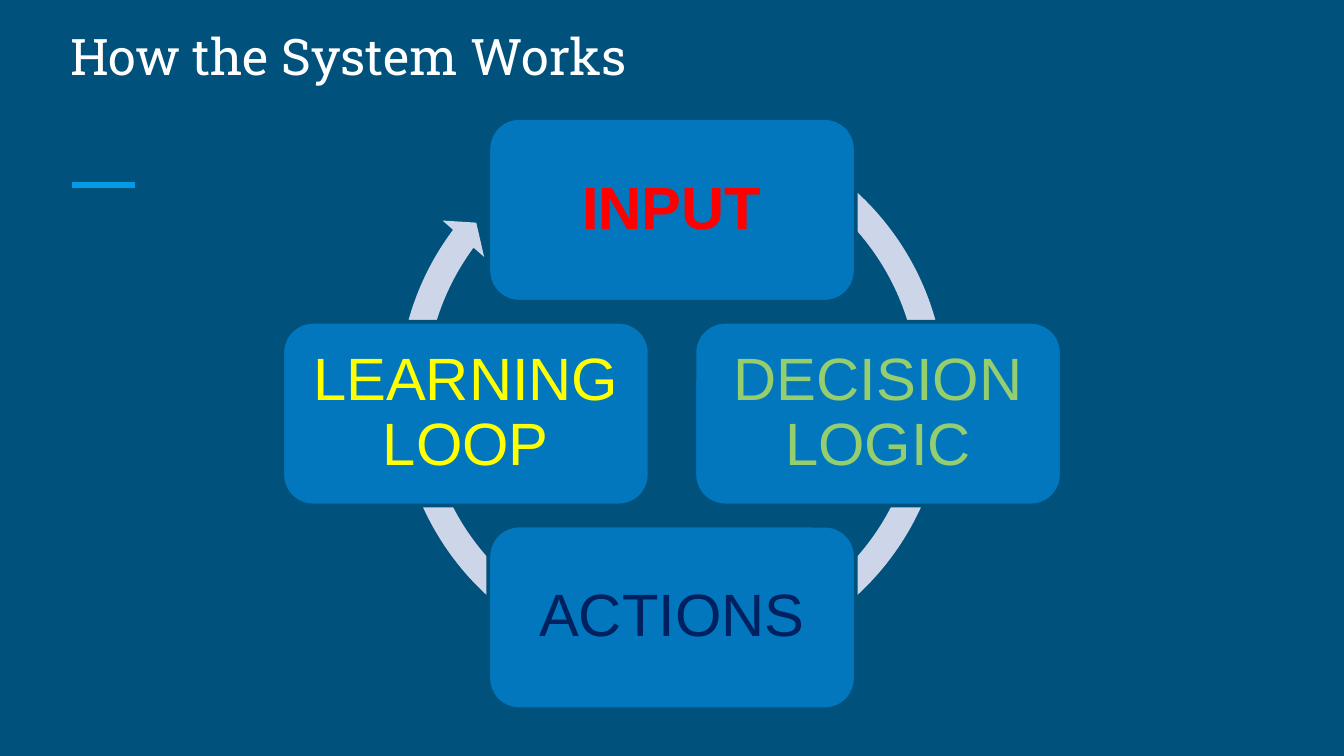
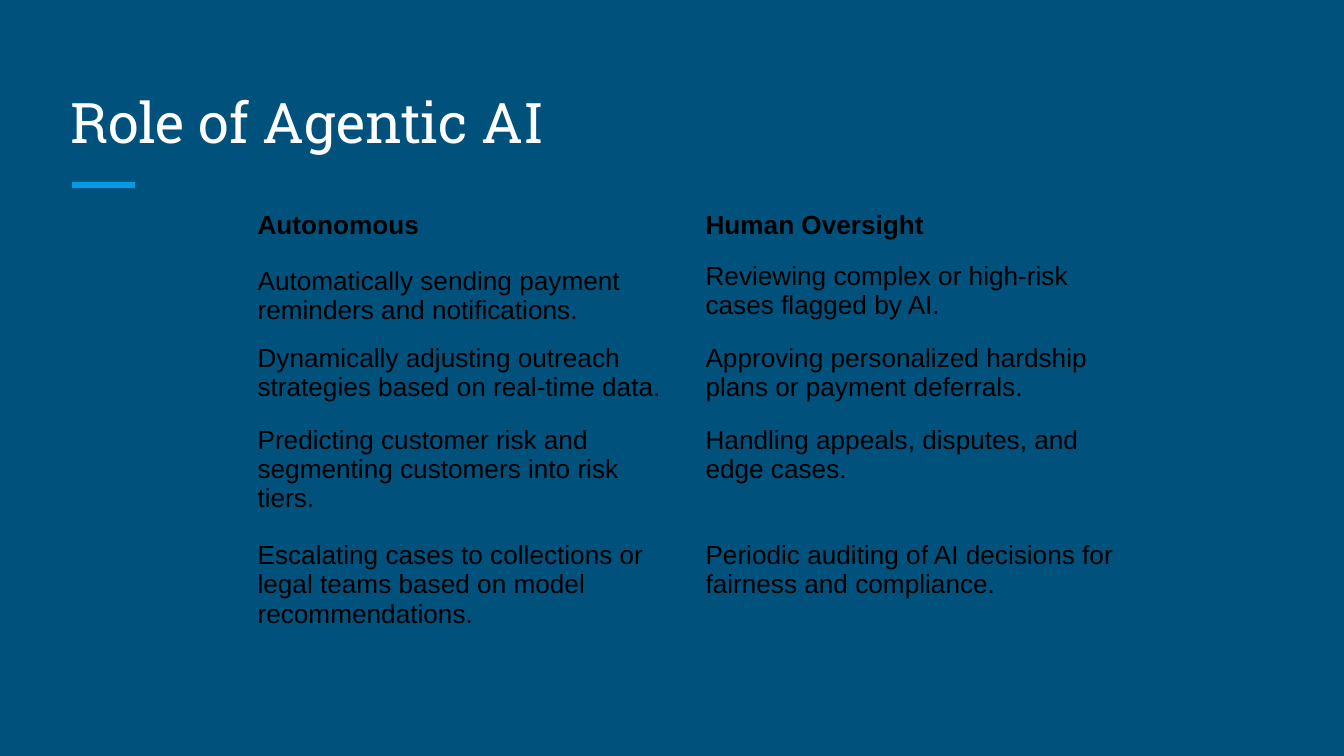
from collections import namedtuple

from lxml import etree
from pptx import Presentation
from pptx.dml.color import RGBColor
from pptx.enum import shapes, text
from pptx.oxml import ns
from pptx.util import Pt

COLORS = {
    "background": "00517C",
    "rule": "039BE5",
    "title": "FFFFFF",
    "box": "0277BD",
    "ring": "CCD6E8",
    "input": "FF0000",
    "decision": "95CE6E",
    "actions": "002060",
    "learning": "FFFF00",
    "table": "000000",
}
TITLE_FONT = "Roboto Slab"
BODY_FONT = "Arial"
NO_TABLE_STYLE = "{2D5ABB26-0587-4C30-8999-92F81FD0307C}"

Box = namedtuple("Box", "left top width height")

CYCLE_STEPS = [
    ("INPUT", "input", 0, -1, True),
    ("DECISION LOGIC", "decision", 1, 0, False),
    ("ACTIONS", "actions", 0, 1, False),
    ("LEARNING LOOP", "learning", -1, 0, False),
]
ROLES = [
    ("Autonomous", "Human Oversight"),
    ("Automatically sending payment reminders and notifications.",
     "Reviewing complex or high-risk cases flagged by AI."),
    ("Dynamically adjusting outreach strategies based on real-time data.",
     "Approving personalized hardship plans or payment deferrals."),
    ("Predicting customer risk and segmenting customers into risk tiers.",
     "Handling appeals, disputes, and edge cases."),
    ("Escalating cases to collections or legal teams based on model recommendations.",
     "Periodic auditing of AI decisions for fairness and compliance."),
]


def color(name):
    return RGBColor.from_string(COLORS[name])


def points(box):
    return [Pt(length) for length in box]


def write(frame, words, *, size, ink, font=BODY_FONT, bold=False,
          align=text.PP_ALIGN.LEFT, spacing=None, inset=None):
    frame.word_wrap = True
    if inset is not None:
        frame.margin_left = frame.margin_right = Pt(inset)
        frame.margin_top = frame.margin_bottom = Pt(inset)
    paragraph = frame.paragraphs[0]
    paragraph.alignment = align
    if spacing is not None:
        paragraph.line_spacing = spacing
    run = paragraph.add_run()
    run.text = words
    run.font.name = font
    run.font.size = Pt(size)
    run.font.bold = bold
    run.font.color.rgb = color(ink)


def add_solid(slide, kind, box, fill, outline=None):
    shape = slide.shapes.add_shape(kind, *points(box))
    shape.shadow.inherit = False
    shape.fill.solid()
    shape.fill.fore_color.rgb = color(fill)
    if outline:
        shape.line.color.rgb = color(outline)
        shape.line.width = Pt(2)
    else:
        shape.line.fill.background()
    return shape


def add_titled_slide(presentation, title, box, size):
    slide = presentation.slides.add_slide(presentation.slide_layouts[6])
    slide.background.fill.solid()
    slide.background.fill.fore_color.rgb = color("background")
    rule = slide.shapes.add_connector(
        shapes.MSO_CONNECTOR.STRAIGHT, Pt(38.7), Pt(99), Pt(72.2), Pt(99))
    rule.line.color.rgb = color("rule")
    rule.line.width = Pt(3)
    etree.SubElement(rule.element.spPr, ns.qn("a:effectLst"))
    frame = slide.shapes.add_textbox(*points(box)).text_frame
    frame.vertical_anchor = text.MSO_ANCHOR.BOTTOM
    write(frame, title, size=size, ink="title", font=TITLE_FONT, inset=7.2)
    return slide


def add_cycle(slide, box):
    step_width, step_height = 196.8, 98.4
    center_x = box.left + box.width / 2
    center_y = box.top + box.height / 2
    reach_x = (box.width - step_width) / 2
    reach_y = (box.height - step_height) / 2

    ring_size = 308.2
    ring_top = box.top - 6.3
    ring = add_solid(
        slide, shapes.MSO_SHAPE.CIRCULAR_ARROW,
        Box(center_x - ring_size / 2, ring_top, ring_size, ring_size), "ring")
    for index, value in enumerate((0.047, 2.729, 129.974, 179.187, 0.048)):
        ring.adjustments[index] = value

    for label, ink, across, down, bold in CYCLE_STEPS:
        step_box = Box(center_x + across * reach_x - step_width / 2,
                       center_y + down * reach_y - step_height / 2,
                       step_width, step_height)
        step = add_solid(slide, shapes.MSO_SHAPE.ROUNDED_RECTANGLE,
                         step_box, "box", "background")
        step.text_frame.vertical_anchor = text.MSO_ANCHOR.MIDDLE
        write(step.text_frame, label, size=32, ink=ink, bold=bold,
              align=text.PP_ALIGN.CENTER, spacing=0.9, inset=9.6)


def add_roles_table(slide, box):
    frame = slide.shapes.add_table(len(ROLES), len(ROLES[0]), *points(box))
    table = frame.table
    table.first_row = table.horz_banding = False
    next(frame.element.iter(ns.qn("a:tableStyleId"))).text = NO_TABLE_STYLE
    for column in table.columns:
        column.width = Pt(box.width / len(ROLES[0]))
    for row, height in zip(table.rows, (31.4, 43.9, 43.9, 61.9, 61.9)):
        row.height = Pt(height)
    middle_cells = {(0, 0), (0, 1), (1, 0)}
    for row, entries in enumerate(ROLES):
        for column, words in enumerate(entries):
            cell = table.cell(row, column)
            cell.fill.background()
            cell.vertical_anchor = (text.MSO_ANCHOR.MIDDLE if (row, column) in middle_cells
                                    else text.MSO_ANCHOR.TOP)
            write(cell.text_frame, words, size=14, ink="table", bold=row == 0)


def main():
    presentation = Presentation()
    presentation.slide_width, presentation.slide_height = Pt(720), Pt(405)
    slide = add_titled_slide(presentation, "How the System Works",
                             Box(30.5, 10.8, 659, 42.5), 27)
    add_cycle(slide, Box(151.2, 63.2, 417.6, 316.8))
    slide = add_titled_slide(presentation, "Role of Agentic AI",
                             Box(30.5, 36, 659, 54), 30)
    add_roles_table(slide, Box(130.8, 105.1, 480, 243))
    presentation.save("out.pptx")


if __name__ == "__main__":
    main()
